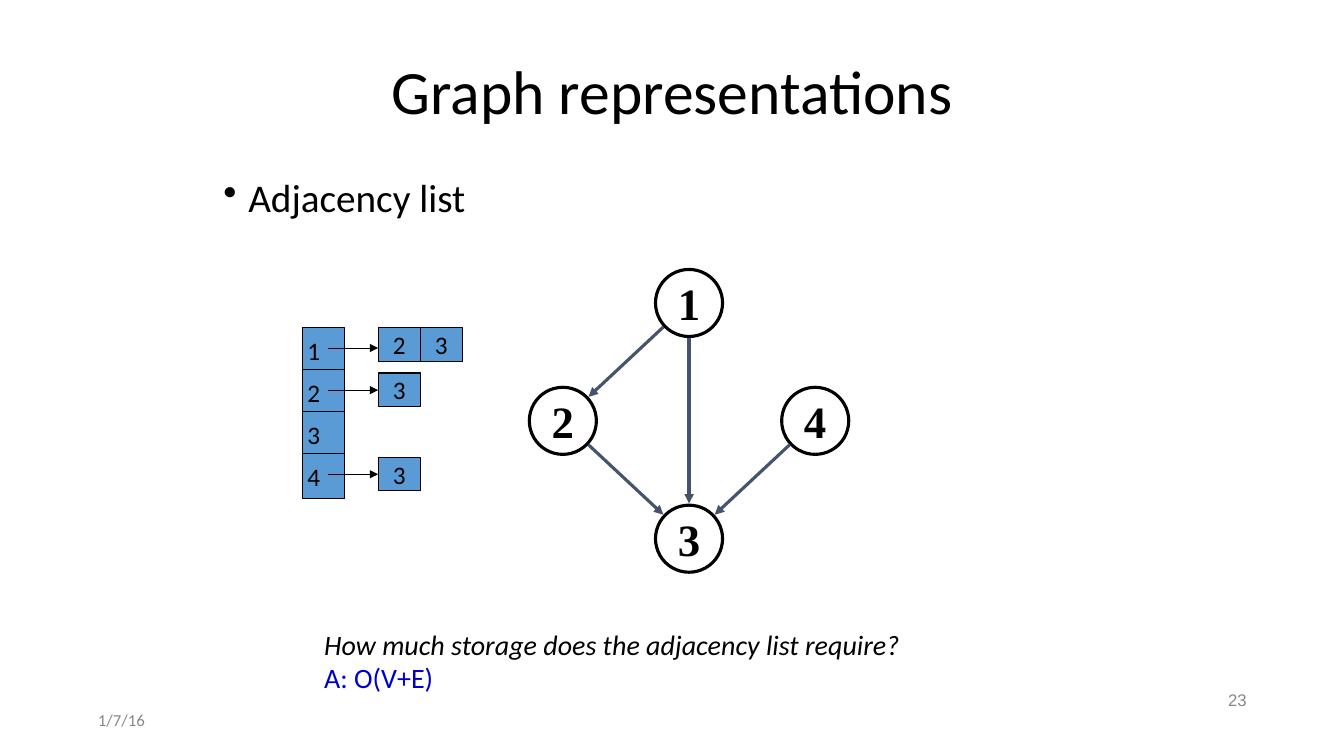
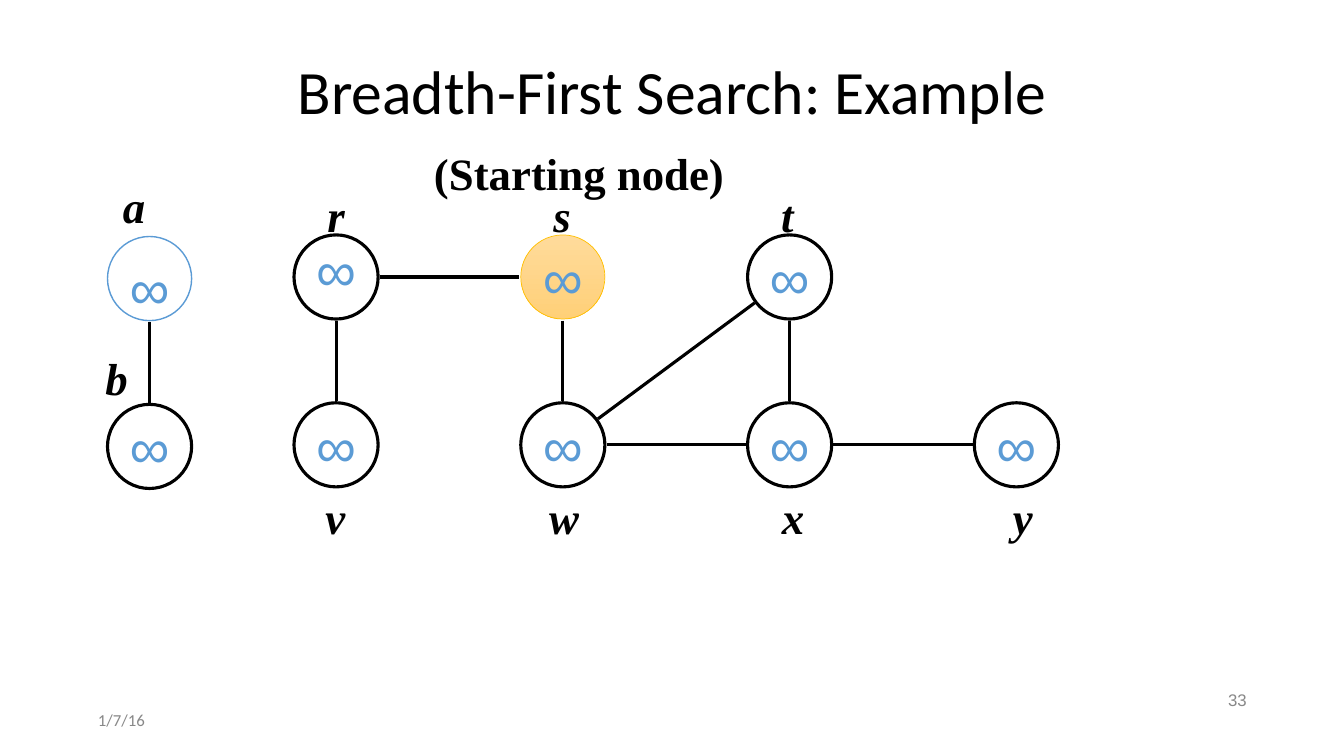
import math
from collections import namedtuple

import lxml.etree
import pptx
import pptx.dml.color
import pptx.enum.shapes
import pptx.enum.text
import pptx.oxml.ns
import pptx.util

Cm, Pt = pptx.util.Cm, pptx.util.Pt
ALIGN = pptx.enum.text.PP_ALIGN
ANCHOR = pptx.enum.text.MSO_ANCHOR
SHAPE = pptx.enum.shapes.MSO_SHAPE
qn = pptx.oxml.ns.qn

BLACK, BLUE, SLATE, GREY = "000000", "5B9BD5", "44546A", "888888"
ANSWER, GOLD = "0000CC", "FFC000"
GOLD_FADE = ("FFDB9B", "FFD078")
BODY_FONT, LABEL_FONT, SYMBOL_FONT = "Calibri", "Times New Roman", "Arial"
INSET = 0.13
EDGE_GAP = 0.04
DATE = "1/7/16"

# Lengths are centimetres.
Box = namedtuple("Box", "left top width height")
# col and row are grid steps; label_at is the label's offset from the centre.
Node = namedtuple("Node", "col row label label_at", defaults=(None, (0, 0)))


def rgb(hex_colour):
    return pptx.dml.color.RGBColor.from_string(hex_colour)


def lengths(*values):
    return [Cm(value) for value in values]


def write(frame, text, size=18, font=BODY_FONT, colour=BLACK, bold=False,
          italic=False, align=ALIGN.LEFT, spacing=1.0, bullet=None):
    """Add a formatted paragraph, using the first one while it is empty."""
    paragraph = frame.paragraphs[0]
    if paragraph.runs:
        paragraph = frame.add_paragraph()
    paragraph.alignment = align
    paragraph.line_spacing = spacing
    if bullet:
        properties = paragraph._p.get_or_add_pPr()
        properties.set("marL", str(Cm(0.63)))
        properties.set("indent", str(-Cm(0.63)))
        lxml.etree.SubElement(properties, qn("a:buChar"), char=bullet)
    run = paragraph.add_run()
    run.text = text
    run.font.size, run.font.name = Pt(size), font
    run.font.bold, run.font.italic = bold, italic
    run.font.color.rgb = rgb(colour)


def set_frame(frame, anchor, inset=INSET, wrap=True):
    frame.word_wrap = wrap
    frame.vertical_anchor = anchor
    frame.margin_left = frame.margin_right = Cm(inset)
    frame.margin_top = frame.margin_bottom = Cm(inset)
    return frame


def text_area(slide, box, anchor=ANCHOR.MIDDLE, wrap=True):
    area = slide.shapes.add_textbox(*lengths(*box))
    return set_frame(area.text_frame, anchor, wrap=wrap)


def add_outline(slide, kind, box, line=BLACK, width=2.25, fill=None, inset=0):
    shape = slide.shapes.add_shape(kind, *lengths(*box))
    shape.shadow.inherit = False
    shape.line.color.rgb = rgb(line)
    shape.line.width = Pt(width)
    if fill:
        shape.fill.solid()
        shape.fill.fore_color.rgb = rgb(fill)
    else:
        shape.fill.background()
    set_frame(shape.text_frame, ANCHOR.MIDDLE, inset)
    return shape


def add_line(slide, start, end, colour=BLACK, width=2.25, arrow=False):
    line = slide.shapes.add_connector(
        pptx.enum.shapes.MSO_CONNECTOR.STRAIGHT, *lengths(*start, *end))
    line.line.color.rgb = rgb(colour)
    line.line.width = Pt(width)
    if arrow:
        lxml.etree.SubElement(line.line._get_or_add_ln(), qn("a:tailEnd"),
                              type="triangle")
    lxml.etree.SubElement(line._element.spPr, qn("a:effectLst"))


def start_slide(deck, title, number):
    """Add a slide with its title, date and page number."""
    slide = deck.slides.add_slide(deck.slide_layouts[6])
    write(text_area(slide, Box(2.34, 1.03, 29.21, 2.72)), title, size=44,
          align=ALIGN.CENTER, spacing=0.9)
    write(text_area(slide, Box(2.34, 17.78, 7.62, 0.74)), DATE, size=12,
          colour=GREY)
    write(text_area(slide, Box(23.93, 17.27, 7.62, 0.74)), str(number),
          size=12, font=SYMBOL_FONT, colour=GREY, align=ALIGN.RIGHT)
    return slide


def add_graph(slide, box, nodes, edges, pitch, diameter, edge_colour=BLACK,
              arrow=False, **value_format):
    """Draw nodes on a grid whose first circle fills the box's top left.

    Nodes map a name to its value and Node; the ellipses are returned.
    """
    radius = diameter / 2
    centres, circles = {}, {}
    for name, (value, node) in nodes.items():
        x = box.left + radius + node.col * pitch[0]
        y = box.top + radius + node.row * pitch[1]
        centres[name] = x, y
        circles[name] = add_outline(
            slide, SHAPE.OVAL, Box(x - radius, y - radius, diameter, diameter))
        write(circles[name].text_frame, value, align=ALIGN.CENTER,
              **value_format)
        if node.label:
            dx, dy = node.label_at
            label = text_area(slide, Box(x + dx - 0.6, y + dy - 0.76, 1.2, 1.52),
                              wrap=False)
            write(label, node.label, size=32, font=LABEL_FONT, bold=True,
                  italic=True, align=ALIGN.CENTER)
    for first, last in edges:
        (x1, y1), (x2, y2) = centres[first], centres[last]
        part = (radius + EDGE_GAP) / math.dist(centres[first], centres[last])
        dx, dy = (x2 - x1) * part, (y2 - y1) * part
        add_line(slide, (x1 + dx, y1 + dy), (x2 - dx, y2 - dy), edge_colour,
                 arrow=arrow)
    return circles


def add_adjacency_list(slide, box, rows):
    """Draw the index column and, beside it, each vertex's neighbours."""
    cell_width, pitch = 1.06, box.height / len(rows)
    neighbours_left = box.left + 1.91

    def cell(text, left, top, height, **options):
        align = options.pop("align", ALIGN.CENTER)
        shape = add_outline(slide, SHAPE.RECTANGLE,
                            Box(left, top, cell_width, height), width=0.75,
                            fill=BLUE, **options)
        write(shape.text_frame, text, align=align)

    for i, (vertex, _, _) in enumerate(rows):
        cell(vertex, box.left, box.top + i * pitch, 1.14, inset=INSET,
             align=ALIGN.LEFT)
    for i, (_, neighbours, drop) in enumerate(rows):
        top = box.top + i * pitch
        for j, neighbour in enumerate(neighbours):
            cell(neighbour, neighbours_left + j * cell_width, top + drop, 0.85)
        if neighbours:
            add_line(slide, (box.left + 0.64, top + 0.52),
                     (neighbours_left, top + 0.52), width=0.75, arrow=True)


def representations_slide(deck):
    slide = start_slide(deck, "Graph representations", 23)
    write(text_area(slide, Box(5.5, 4.37, 22.86, 1.6), ANCHOR.TOP),
          "Adjacency list", size=28, spacing=0.9, bullet="•")
    places = {"1": (1, 0), "2": (0, 1), "3": (1, 2), "4": (2, 1)}
    add_graph(slide, Box(13.34, 6.79, 8.05, 7.63),
              {name: (name, Node(*place)) for name, place in places.items()},
              ["12", "23", "43", "13"], pitch=(3.18, 2.97), diameter=1.69,
              edge_colour=SLATE, arrow=True, size=32, font=LABEL_FONT,
              bold=True)
    add_adjacency_list(slide, Box(7.62, 8.25, 4.03, 4.24),
                       [("1", "23", 0), ("2", "3", 0.09), ("3", "", 0),
                        ("4", "3", 0.09)])
    question = text_area(slide, Box(8.04, 15.67, 19.47, 1.96), ANCHOR.TOP)
    write(question, "How much storage does the adjacency list require?",
          size=20, italic=True)
    write(question, "A: O(V+E)", size=20, colour=ANSWER)


def search_slide(deck):
    slide = start_slide(deck, "Breadth-First Search: Example", 33)
    above, below = -1.57, 1.81
    main_nodes = [Node(0, 0, "r", (0, above)), Node(1, 0, "s", (-0.02, above)),
                  Node(2, 0, "t", (-0.06, above)),
                  Node(0, 1, "v", (-0.02, below)), Node(1, 1, "w", (0.03, below)),
                  Node(2, 1, "x", (0.09, below)), Node(3, 1, "y", (0.16, below))]
    side_nodes = [Node(0, 0, "a", (-0.39, -1.84)),
                  Node(0, 1, "b", (-0.83, -1.74))]
    circles = {}
    for box, nodes, edges in (
            (Box(7.41, 5.92, 19.27, 6.35), main_nodes,
             ["vr", "rs", "sw", "wt", "wx", "xt", "xy"]),
            (Box(2.71, 5.96, 2.12, 6.35), side_nodes, ["ba"])):
        circles.update(add_graph(
            slide, box, {node.label: ("∞", node) for node in nodes}, edges,
            pitch=(5.715, 4.23), diameter=2.12, size=40, font=SYMBOL_FONT,
            colour=BLUE))

    start = circles["s"]
    start.fill.gradient()
    start.fill.gradient_angle = 270
    for stop, colour in zip(start.fill.gradient_stops, GOLD_FADE):
        stop.color.rgb = rgb(colour)
    for name, colour, width in (("s", GOLD, 0.5), ("a", BLUE, 1)):
        circles[name].line.color.rgb = rgb(colour)
        circles[name].line.width = Pt(width)
    circles["r"].text_frame.paragraphs[0].line_spacing = 0.7
    circles["a"].text_frame.margin_top = Cm(0.43)

    write(text_area(slide, Box(10.8, 3.53, 7.59, 1.52), ANCHOR.TOP, wrap=False),
          "(Starting node)", size=32, font=LABEL_FONT, bold=True,
          align=ALIGN.CENTER)


def main():
    deck = pptx.Presentation()
    deck.slide_width, deck.slide_height = lengths(33.87, 19.05)
    representations_slide(deck)
    search_slide(deck)
    deck.save("out.pptx")


if __name__ == "__main__":
    main()
